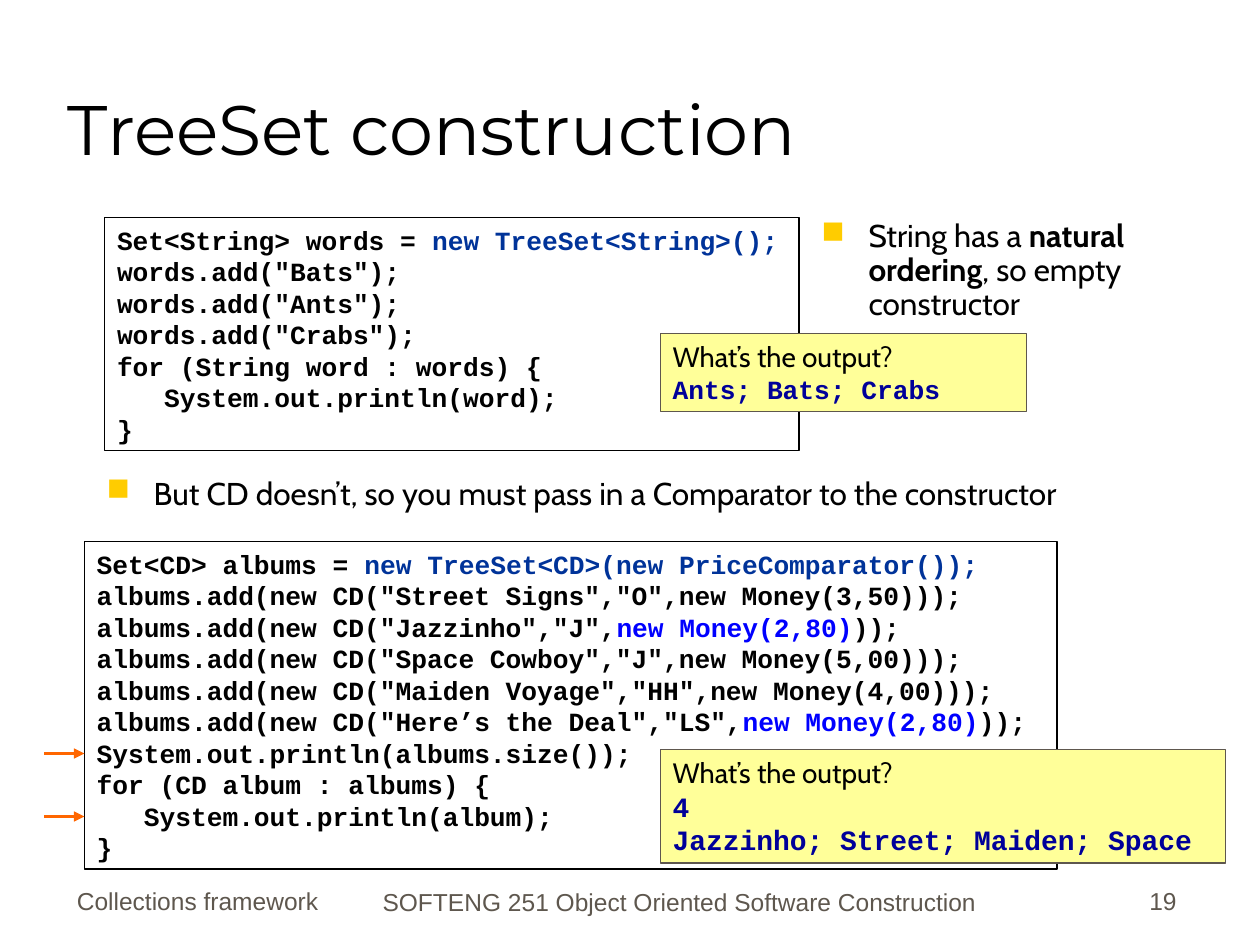
import pptx
import pptx.dml.color
import pptx.enum.shapes
import pptx.enum.text
import pptx.oxml
import pptx.oxml.ns
import pptx.util
from dataclasses import dataclass
from typing import Optional

Cm, Pt = pptx.util.Cm, pptx.util.Pt
ALIGN = pptx.enum.text.PP_ALIGN
ANCHOR = pptx.enum.text.MSO_ANCHOR
NS = pptx.oxml.ns.nsdecls("a")

TITLE = {"name": "Montserrat", "size": Pt(40), "color": "000000"}
BODY = {"name": "Cabin", "size": Pt(18), "color": "000000"}
STRONG = BODY | {"bold": True}
QUESTION = BODY | {"size": Pt(16)}
FOOTER = {"name": "Arial", "size": Pt(14), "color": "5E574E"}
CODE = {"name": "Courier New", "size": Pt(15), "bold": True, "color": "000000"}
CONSTRUCTOR = CODE | {"color": "003399"}
MONEY = CODE | {"color": "0000FF"}
ANSWER = CODE | {"color": "000099"}
BIG_ANSWER = ANSWER | {"size": Pt(16)}


@dataclass
class Box:
    left: float
    top: float
    width: float
    height: float
    paragraphs: list
    align: ALIGN = ALIGN.LEFT
    anchor: ANCHOR = ANCHOR.TOP
    bullet: bool = False
    fill: Optional[str] = None
    line: Optional[str] = None


@dataclass
class Arrow:
    left: float
    right: float
    y: float


def rgb(value: str) -> pptx.dml.color.RGBColor:
    return pptx.dml.color.RGBColor.from_string(value)


def lines(style: dict, *texts: str) -> list:
    return [[(text, style)] for text in texts]


def add_bullet(p) -> None:
    pPr = p._p.get_or_add_pPr()
    pPr.set("marL", str(Cm(0.95)))
    pPr.set("indent", str(-Cm(0.95)))
    for xml in (f'<a:buClr {NS}><a:srgbClr val="FFCC00"/></a:buClr>',
                f'<a:buChar {NS} char="■"/>'):
        pPr.append(pptx.oxml.parse_xml(xml))
    p.line_spacing = 0.9


def add_run(p, text: str, style: dict) -> None:
    r = p.add_run()
    r.text = text
    for key, value in style.items():
        if key == "color":
            r.font.color.rgb = rgb(value)
        else:
            setattr(r.font, key, value)


def add_box(s, box: Box) -> None:
    place = [Cm(v) for v in (box.left, box.top, box.width, box.height)]
    if box.line:
        sp = s.shapes.add_shape(pptx.enum.shapes.MSO_SHAPE.RECTANGLE, *place)
        sp.shadow.inherit = False
        sp.line.color.rgb = rgb(box.line)
        sp.line.width = Pt(0.75)
        if box.fill:
            sp.fill.solid()
            sp.fill.fore_color.rgb = rgb(box.fill)
        else:
            sp.fill.background()
    else:
        sp = s.shapes.add_textbox(*place)
    tf = sp.text_frame
    tf.word_wrap = True
    tf.vertical_anchor = box.anchor
    for i, runs in enumerate(box.paragraphs):
        p = tf.add_paragraph() if i else tf.paragraphs[0]
        p.alignment = box.align
        if box.bullet:
            add_bullet(p)
        for text, style in runs:
            add_run(p, text, style)


def add_arrow(s, arrow: Arrow) -> None:
    cxn = s.shapes.add_connector(
        pptx.enum.shapes.MSO_CONNECTOR.STRAIGHT,
        Cm(arrow.left), Cm(arrow.y), Cm(arrow.right), Cm(arrow.y))
    cxn.line.color.rgb = rgb("FF6600")
    cxn.line.width = Pt(1.5)
    cxn.line._get_or_add_ln().append(
        pptx.oxml.parse_xml(f'<a:tailEnd {NS} type="triangle"/>'))
    cxn._element.spPr.append(pptx.oxml.parse_xml(f"<a:effectLst {NS}/>"))


WORDS_CODE = [
    [("Set<String> words = ", CODE), ("new TreeSet<String>();", CONSTRUCTOR)],
    *lines(CODE, 'words.add("Bats");', 'words.add("Ants");', 'words.add("Crabs");',
           "for (String word : words) {", "   System.out.println(word);", "}"),
]
ALBUMS_CODE = [
    [("Set<CD> albums = ", CODE),
     ("new TreeSet<CD>(new PriceComparator());", CONSTRUCTOR)],
    *lines(CODE, 'albums.add(new CD("Street Signs","O",new Money(3,50)));'),
    [('albums.add(new CD("Jazzinho","J",', CODE), ("new Money(2,80)", MONEY), ("));", CODE)],
    *lines(CODE, 'albums.add(new CD("Space Cowboy","J",new Money(5,00)));'),
    [('albums.add(new CD("Maiden Voyage","HH",new Money(4,00))); '
      'albums.add(new CD("Here’s the Deal","LS",', CODE),
     ("new Money(2,80)", MONEY), ("));", CODE)],
    *lines(CODE, "System.out.println(albums.size());", "for (CD album : albums) {",
           "   System.out.println(album);", "}"),
]
ASK = lines(QUESTION, "What’s the output?")

BOXES = [
    Box(1.3, 17.3, 8.53, 1.27, lines(FOOTER, "Collections framework"), anchor=ANCHOR.BOTTOM),
    Box(6.5, 17.32, 14.4, 1.27,
        lines(FOOTER, "SOFTENG 251 Object Oriented Software Construction"),
        ALIGN.CENTER, ANCHOR.BOTTOM),
    Box(18.69, 17.3, 5.28, 1.27, lines(FOOTER, "19"), ALIGN.RIGHT, ANCHOR.BOTTOM),
    Box(1.12, 0.64, 21.59, 2.9, lines(TITLE, "TreeSet construction"), anchor=ANCHOR.BOTTOM),
    Box(16.31, 4.32, 8.23, 2.39,
        [[("String has a ", BODY), ("natural ordering", STRONG),
          (", so empty constructor", BODY)]], bullet=True),
    Box(2.11, 4.39, 14, 4.7, WORDS_CODE, line="000000"),
    Box(1.7, 10.92, 19.61, 6.6, ALBUMS_CODE, line="000000"),
    Box(1.9, 9.52, 22.61, 0.99,
        lines(BODY, "But CD doesn’t, so you must pass in a Comparator to the constructor"),
        bullet=True),
    Box(13.31, 15.11, 11.4, 2.29,
        ASK + lines(BIG_ANSWER, "4", "Jazzinho; Street; Maiden; Space"),
        fill="FFFF99", line="5E574E"),
    Box(13.31, 6.73, 7.39, 1.57, ASK + lines(ANSWER, "Ants; Bats; Crabs"),
        fill="FFFF99", line="5E574E"),
]
ARROWS = [Arrow(0.89, 1.7, y) for y in (15.19, 16.46)]


def main() -> None:
    """Build the TreeSet construction slide."""
    prs = pptx.Presentation()
    prs.slide_width, prs.slide_height = Cm(25.4), Cm(19.05)
    s = prs.slides.add_slide(prs.slide_layouts[6])
    for box in BOXES:
        add_box(s, box)
    for arrow in ARROWS:
        add_arrow(s, arrow)
    prs.save("out.pptx")


if __name__ == "__main__":
    main()
